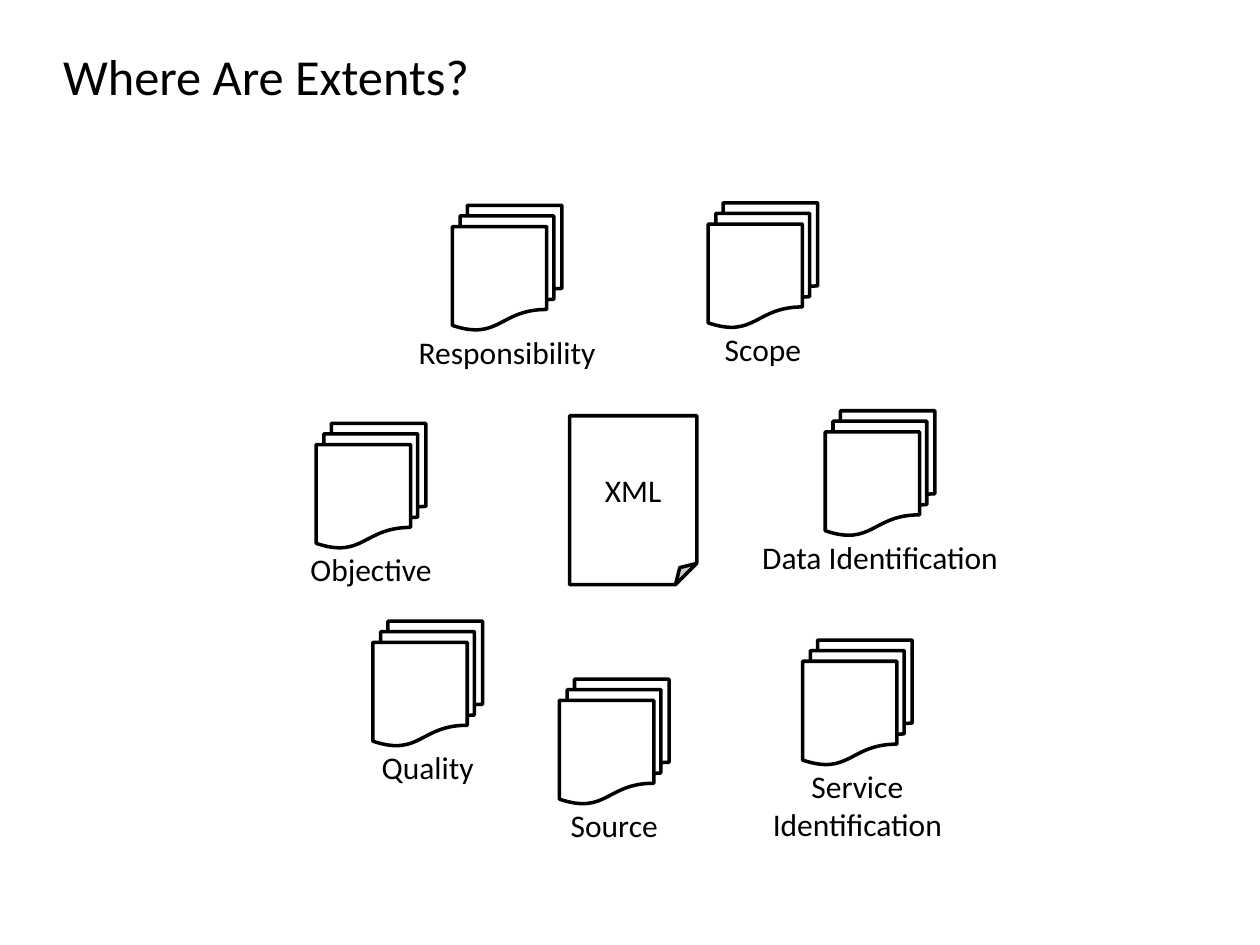
from pptx import Presentation
from pptx.dml.color import RGBColor
from pptx.enum.shapes import MSO_SHAPE
from pptx.enum.text import MSO_ANCHOR, MSO_AUTO_SIZE, PP_ALIGN
from pptx.util import Inches, Pt

BLACK = RGBColor(0, 0, 0)
WHITE = RGBColor(255, 255, 255)
FOLDED_PAGE = MSO_SHAPE.FOLDED_CORNER
PAGE_STACK = MSO_SHAPE.FLOWCHART_MULTIDOCUMENT
LEFT, CENTER = PP_ALIGN.LEFT, PP_ALIGN.CENTER
MIDDLE, TOP = MSO_ANCHOR.MIDDLE, MSO_ANCHOR.TOP

FONT = "Calibri"
TITLE_SIZE, LABEL_SIZE = Pt(28.8), Pt(18)
TITLE_BOX = (0.4, 0.29, 9, 0.61)
XML_BOX = (4.52, 3.3, 1.01, 1.34)
STACK_WIDTH, STACK_HEIGHT = 0.87, 0.99
LABEL_DROP = 0.96  # from the top of a stack to the top of its label
LINE_HEIGHT, LABEL_PADDING = 0.3, 0.1

# Label lines, left and top of the stack, width of the label
RECORD_STACKS = [
    (["Quality"], 2.96, 4.93, 0.94),
    (["Service", "Identification"], 6.37, 5.08, 1.56),
    (["Source"], 4.44, 5.39, 0.9),
    (["Responsibility"], 3.59, 1.63, 1.62),
    (["Scope"], 5.62, 1.61, 0.82),
    (["Data Identification"], 6.55, 3.26, 2.1),
    (["Objective"], 2.51, 3.36, 1.17),
]


def inches(box):
    return [Inches(length) for length in box]


def write(frame, lines, size, align, anchor):
    frame.vertical_anchor = anchor
    frame.text = "\n".join(lines)
    for para in frame.paragraphs:
        para.alignment = align
        font_format = {"name": FONT, "size": size, "bold": False}
        for name, value in font_format.items():
            setattr(para.font, name, value)
        para.font.color.rgb = BLACK


def add_outlined(shapes, kind, box):
    """Add a white preset shape with a black outline."""
    shape = shapes.add_shape(kind, *inches(box))
    shape.shadow.inherit = False
    shape.fill.solid()
    shape.fill.fore_color.rgb = WHITE
    shape.line.color.rgb = BLACK
    shape.line.width = Pt(2)
    return shape


def add_title(slide, box):
    title = slide.shapes.title
    title.left, title.top, title.width, title.height = inches(box)
    write(title.text_frame, ["Where Are Extents?"], TITLE_SIZE, LEFT, MIDDLE)


def add_xml_page(slide, box):
    page = add_outlined(slide.shapes, FOLDED_PAGE, box)
    write(page.text_frame, ["XML"], LABEL_SIZE, CENTER, MIDDLE)


def add_record_stack(slide, lines, left, top, label_width):
    """Group a stack of pages with the label centred below it."""
    group = slide.shapes.add_group_shape()
    add_outlined(group.shapes, PAGE_STACK, (left, top, STACK_WIDTH, STACK_HEIGHT))
    label_left = left + (STACK_WIDTH - label_width) / 2
    label_height = LINE_HEIGHT * len(lines) + LABEL_PADDING
    label = group.shapes.add_textbox(
        *inches((label_left, top + LABEL_DROP, label_width, label_height)))
    frame = label.text_frame
    frame.word_wrap = False
    frame.auto_size = MSO_AUTO_SIZE.SHAPE_TO_FIT_TEXT
    write(frame, lines, LABEL_SIZE, CENTER, TOP)


def main():
    deck = Presentation()
    deck.slide_width, deck.slide_height = Inches(10), Inches(7.5)
    slide = deck.slides.add_slide(deck.slide_layouts.get_by_name("Title Only"))
    add_title(slide, TITLE_BOX)
    add_xml_page(slide, XML_BOX)
    for stack in RECORD_STACKS:
        add_record_stack(slide, *stack)
    deck.save("out.pptx")


if __name__ == "__main__":
    main()
